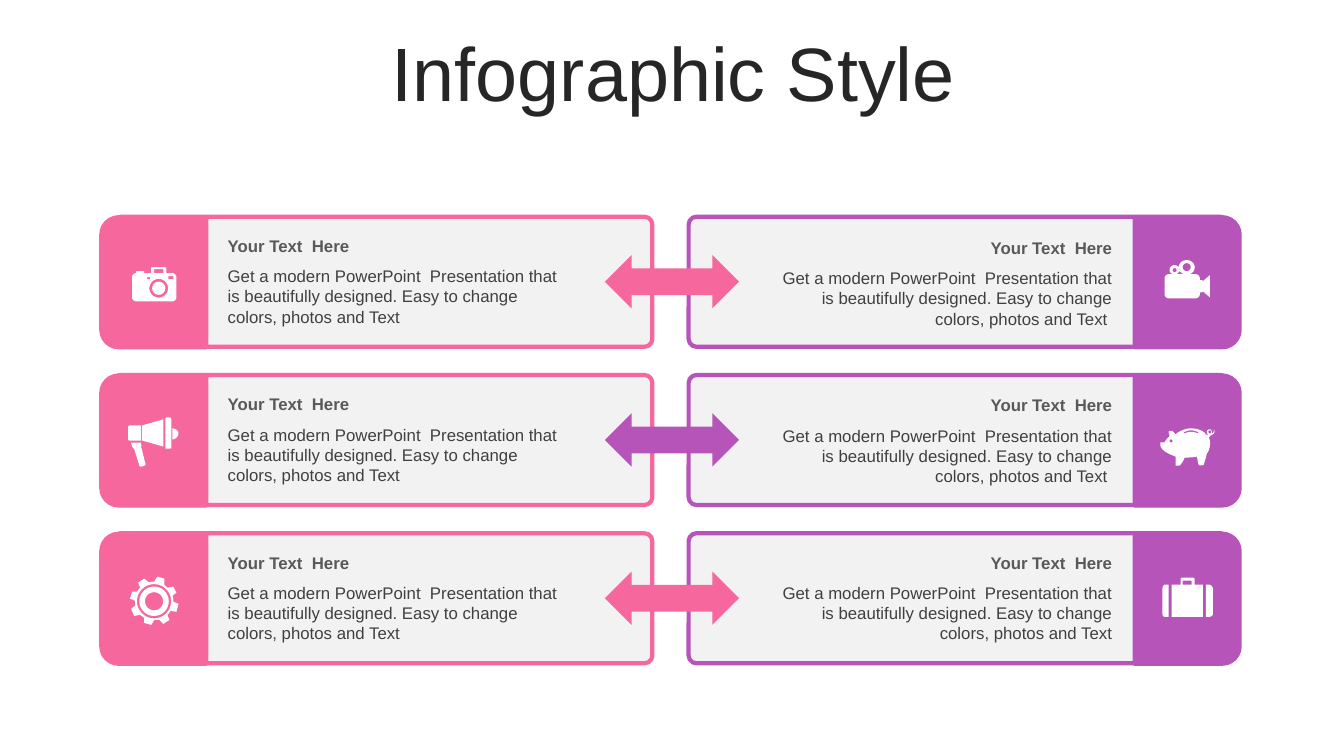
import math
from dataclasses import dataclass
from typing import NamedTuple

from pptx import Presentation
from pptx import util as u
from pptx.dml import color
from pptx.enum import shapes, text

PX = 9144
PINK, PLUM, GRAY, WHITE = "F5679D", "B754BA", "F2F2F2", "FFFFFF"
PITCH = 157
HEAD = "Your Text  Here"
BODY = ("Get a modern PowerPoint  Presentation that is beautifully designed. "
        "Easy to change colors, photos and Text")
FONTS = {
    "title": {"size": u.Pt(54), "bold": False, "name": "Arial"},
    "head": {"size": u.Pt(12), "bold": True, "name": "Arial"},
    "body": {"size": u.Pt(12), "bold": False, "name": "Arial"},
}
INKS = {"title": "262626", "head": "595959", "body": "404040"}
KIND = shapes.MSO_SHAPE
ALIGN = text.PP_ALIGN


class Ring(NamedTuple):
    x: float
    y: float
    r: float


class Box(NamedTuple):
    x: int
    y: int
    w: int
    h: int


Icon = tuple[str | Ring, ...]


@dataclass
class Side:
    hue: str
    panel: int
    tab: int
    turn: int
    words: Box
    step: int
    align: int
    tails: tuple[str, str, str]
    icons: tuple[Icon, Icon, Icon]


CAMERA: Icon = (
    Ring(157.5, 286, 6.5), Ring(157.5, 286, 9.3),
    "146,275 146,277 149,277 149,275", "167,274 167,277 172,277 172,274",
    "153,267 153,271 162,271 162,267",
    "151,265 164,265 C 164,265 165,266 165,267 165,271 171,271 C 173,271 175,273 175,275 "
    "175,295 C 175,297 173,299 171,299 135,299 C 133,299 131,297 131,295 131,275 "
    "C 131,273 133,271 135,271 135,270 C 135,269 136,269 136,269 142,269 "
    "C 143,269 143,269 143,270 143,271 150,271 150,267 C 150,266 150,265 151,265",
)
HORN: Icon = (
    "140,439 140,441 C 141,442 140,442 140,443 144,459 C 145,460 144,462 143,462 140,463 "
    "C 139,463 138,462 138,461 133,445 C 132,445 132,444 131,443 130,439",
    "171,425 C 174,425 177,427 177,430 C 177,433 174,436 171,436",
    "129,422 140,422 140,437 129,437 C 128,437 127,437 127,435 127,424 C 127,423 128,422 129,422",
    "162,416 162,443 141,437 141,422",
    "165,414 168,414 C 169,414 170,415 170,416 170,444 C 170,445 169,445 168,445 165,445 "
    "C 164,445 164,445 164,444 164,416 C 164,415 164,414 165,414",
)
GEAR: Icon = (
    Ring(152.8, 596.5, 9), Ring(152.8, 596.5, 14.6), Ring(152.8, 596.5, 17),
    "163,574 163,580 C 164,581 165,582 166,583 172,582 175,588 171,591 C 172,593 172,595 172,597 "
    "177,599 175,607 169,606 C 168,608 167,609 166,610 168,615 162,619 158,615 "
    "C 157,615 155,615 153,615 150,620 143,618 143,613 C 142,612 140,611 139,610 133,611 130,604 "
    "134,601 C 134,600 134,598 134,596 129,594 131,587 136,587 C 137,585 138,584 139,583 "
    "137,578 143,574 148,578 C 149,577 151,577 153,577 156,572",
)
FILM: Icon = (
    Ring(1165, 268, 2), Ring(1177, 265, 4),
    "1177,258 C 1181,258 1185,261 1185,265 C 1185,268 1183,271 1180,272 1186,272 "
    "C 1188,272 1190,274 1190,276 1190,278 1192,278 C 1192,278 1193,278 1193,279 1200,273 "
    "1200,295 1193,289 C 1193,290 1192,290 1192,290 1190,290 1190,292 C 1190,294 1188,296 1186,296 "
    "1159,296 C 1157,296 1155,294 1155,292 1155,276 C 1155,274 1157,272 1159,272 1163,272 "
    "C 1161,271 1160,270 1160,268 C 1160,265 1162,263 1165,263 C 1167,263 1170,265 1170,268 "
    "C 1170,270 1168,271 1167,272 1174,272 C 1171,271 1169,268 1169,265 C 1169,261 1173,258 1177,258",
)
PIG: Icon = (
    Ring(1161.5, 437.5, 1.5), Ring(1200, 428.5, 1.5),
    "1181,427 C 1179,427 1176,428 1174,429 1175,430 C 1179,428 1184,428 1188,430 1189,429 "
    "C 1187,428 1184,427 1181,427",
    "1181,425 C 1187,425 1194,427 1196,431 1198,432 C 1198,432 1198,432 1198,431 "
    "C 1198,431 1197,430 1197,429 C 1197,427 1198,426 1200,426 C 1201,426 1202,427 1202,429 "
    "C 1202,430 1202,429 1202,430 C 1203,429 1204,430 1204,426 C 1206,430 1203,431 1201,432 "
    "C 1200,433 1199,434 1199,434 1200,437 C 1201,442 1199,448 1197,450 C 1196,455 1195,457 1194,461 "
    "C 1193,462 1189,462 1189,461 C 1188,459 1188,456 1187,453 C 1183,454 1178,454 1175,454 "
    "C 1174,457 1172,460 1170,462 1166,462 C 1166,462 1166,456 1166,453 "
    "C 1161,451 1149,447 1151,439 C 1151,439 1154,439 1155,439 C 1157,436 1157,435 1160,433 "
    "C 1160,431 1159,429 1159,428 C 1163,426 1164,429 1166,431 C 1170,427 1177,425 1181,425",
)
CASE: Icon = (
    "1196,580 1199,580 C 1201,580 1203,582 1203,584 1203,609 C 1203,611 1201,612 1199,612 1196,612",
    "1156,580 1159,580 1159,612 1156,612 C 1154,612 1153,611 1153,609 1153,584 "
    "C 1153,582 1154,580 1156,580",
    "1175,576 C 1174,576 1173,576 1173,577 1173,580 1182,580 1182,577 C 1182,576 1181,576 1180,576",
    "1173,573 1183,573 C 1184,573 1185,574 1185,575 1185,580 1193,580 1193,612 1162,612 "
    "1162,580 1171,580 1171,575 C 1171,574 1171,573 1173,573",
)

SIDES = (
    Side(PINK, 112, 88, 270, Box(216, 229, 355, 30), 157, ALIGN.LEFT,
         ("", "", ""), (CAMERA, HORN, GEAR)),
    Side(PLUM, 683, 1113, 90, Box(762, 231, 351, 30), 156, ALIGN.RIGHT,
         (" ", " ", ""), (FILM, PIG, CASE)),
)

deck = Presentation()
deck.slide_width, deck.slide_height = 1333 * PX, 750 * PX
slide = deck.slides.add_slide(deck.slide_layouts[6])


def tint(code: str) -> color.RGBColor:
    return color.RGBColor.from_string(code)


def paint(shape, fill: str, line: str | None = None) -> None:
    shape.shadow.inherit = False
    shape.fill.solid()
    shape.fill.fore_color.rgb = tint(fill)
    if line:
        shape.line.color.rgb = tint(line)
        shape.line.width = u.Pt(3)
    else:
        shape.line.fill.background()


def block(kind: int, box: Box, fill: str, line: str | None = None):
    shape = slide.shapes.add_shape(kind, *(v * PX for v in box))
    paint(shape, fill, line)
    return shape


def write(words: str, box: Box, style: str, align: int):
    frame = slide.shapes.add_textbox(*(v * PX for v in box)).text_frame
    frame.word_wrap = True
    par = frame.paragraphs[0]
    par.alignment = align
    run = par.add_run()
    run.text = words
    for key, value in FONTS[style].items():
        setattr(run.font, key, value)
    run.font.color.rgb = tint(INKS[style])
    return frame


def trace(part: str | Ring) -> list[tuple[float, float]]:
    if isinstance(part, Ring):
        turns = [math.tau * i / 32 for i in range(32)]
        return [(part.x + part.r * math.cos(t), part.y + part.r * math.sin(t)) for t in turns]
    dots: list[tuple[float, float]] = []
    words = iter(part.split())
    for word in words:
        if word != "C":
            x, y = map(int, word.split(","))
            dots.append((x, y))
            continue
        curve = [dots[-1]] + [tuple(map(int, next(words).split(","))) for _ in range(3)]
        for t in (i / 6 for i in range(1, 7)):
            mix = [math.comb(3, k) * t**k * (1 - t)**(3 - k) for k in range(4)]
            dots.append(tuple(sum(m * p[axis] for m, p in zip(mix, curve)) for axis in (0, 1)))
    return dots


def draw(icon: Icon) -> None:
    lines = [[(x * PX, y * PX) for x, y in trace(part)] for part in icon]
    pen = slide.shapes.build_freeform(*lines[0][0])
    for dots in lines:
        pen.move_to(*dots[0])
        pen.add_line_segments(dots[1:], close=True)
    paint(pen.convert_to_shape(), WHITE)


title = write("Infographic Style", Box(35, 37, 1266, 79), "title", ALIGN.CENTER)
title.vertical_anchor = text.MSO_ANCHOR.MIDDLE
title.paragraphs[0].line_spacing = 0.9
title.paragraphs[0].space_before = u.Pt(10)

for side in SIDES:
    for row, (icon, tail) in enumerate(zip(side.icons, side.tails)):
        drop = row * PITCH
        panel = block(KIND.ROUNDED_RECTANGLE, Box(side.panel, 215 + drop, 535, 129), GRAY, side.hue)
        panel.adjustments[0] = 0.06
        tab = block(KIND.ROUND_2_SAME_RECTANGLE, Box(side.tab, 228 + drop, 129, 104),
                    side.hue, side.hue)
        tab.rotation = side.turn
        head = side.words._replace(y=side.words.y + row * side.step)
        write(HEAD, head, "head", side.align)
        write(BODY + tail, head._replace(y=head.y + 30, h=71), "body", side.align)
        draw(icon)

for row, hue in enumerate((PINK, PLUM, PINK)):
    block(KIND.LEFT_RIGHT_ARROW, Box(600, 253 + row * PITCH, 133, 53), hue)

deck.save("out.pptx")
